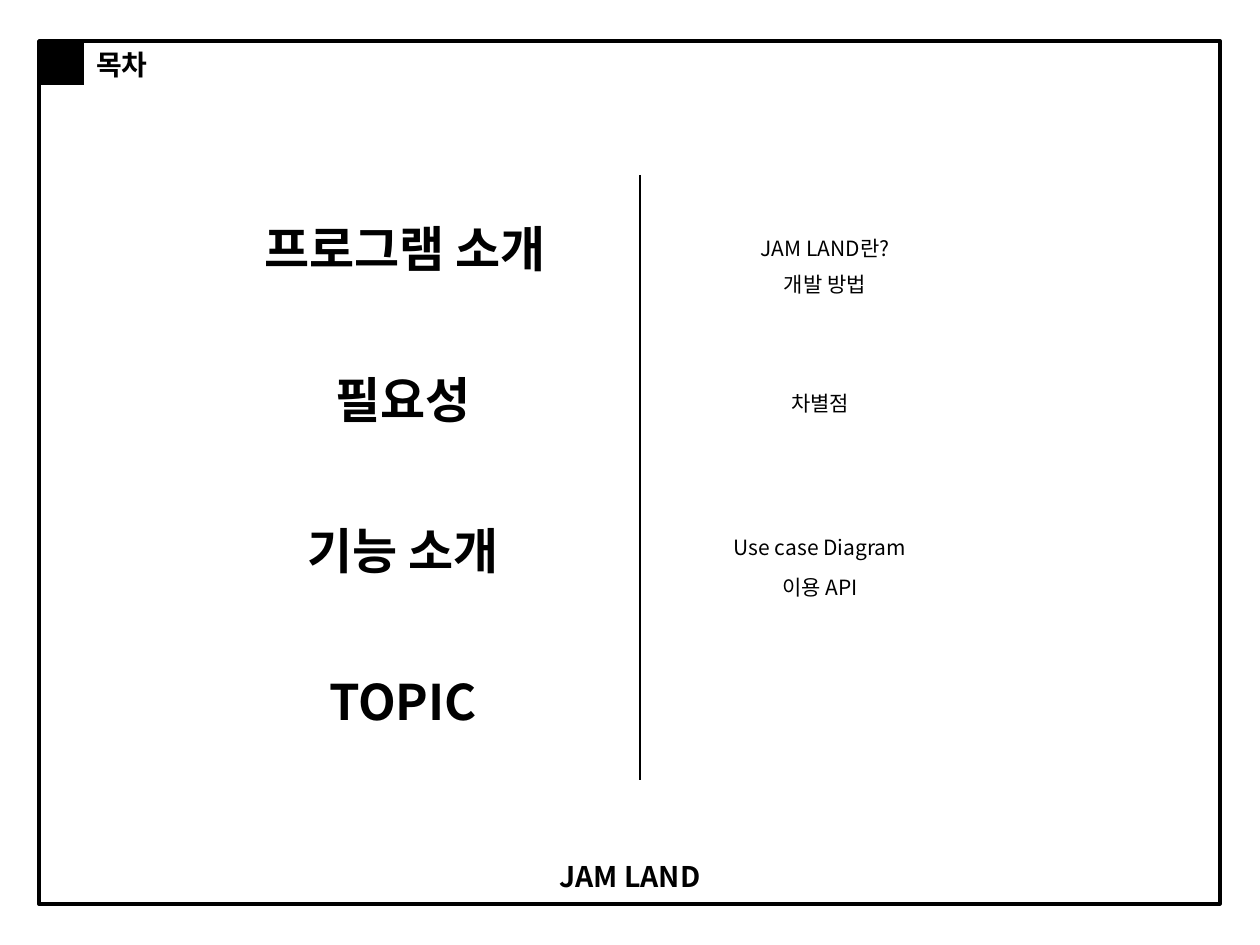
from lxml.etree import SubElement as Sub
from pptx import Presentation
from pptx.dml.color import RGBColor
from pptx.enum.shapes import MSO_CONNECTOR as Conn, MSO_SHAPE as Shape
from pptx.enum.text import MSO_ANCHOR as Anchor, PP_ALIGN as Align
from pptx.oxml.ns import qn
from pptx.util import Emu, Pt

FONT = "Noto Sans CJK KR"
INK = "000000"
PX = 914400 // 126

# Content: topics run down the left at an equal pitch
HEAD = "목차"
FOOT = "JAM LAND"
TOPICS = ["프로그램 소개", "필요성", "기능 소개", "TOPIC"]
TOP, PITCH = 208, 151
# text, centre x, centre y
NOTES = [
    ("JAM LAND란?", 825, 248),
    ("개발 방법", 825, 284),
    ("차별점", 820, 403),
    ("Use case Diagram", 820, 547),
    ("이용 API", 820, 587),
]


def px(n):
    return Emu(n * PX)


def color(code):
    return RGBColor.from_string(code)


def add_text(text, x, y, w, h, size, bold=False):
    box = slide.shapes.add_textbox(px(x), px(y), px(w), px(h))
    frame = box.text_frame
    frame.word_wrap = True
    frame.vertical_anchor = Anchor.MIDDLE
    frame.margin_top = frame.margin_bottom = 0
    para = frame.paragraphs[0]
    para.alignment = Align.CENTER
    run = para.add_run()
    run.text = text
    font = run.font
    font.name, font.size, font.bold = FONT, Pt(size), bold
    font.color.rgb = color(INK)
    Sub(font._element, qn("a:ea"), typeface=FONT)


def add_rect(x, y, w, h):
    rect = slide.shapes.add_shape(Shape.RECTANGLE, px(x), px(y), px(w), px(h))
    rect.shadow.inherit = False
    return rect


deck = Presentation()
deck.slide_width, deck.slide_height = px(1260), px(945)
slide = deck.slides.add_slide(deck.slide_layouts[6])

# Frame and corner block
frame = add_rect(39, 41, 1181, 863)
frame.fill.background()
frame.line.color.rgb = color(INK)
frame.line.width = Pt(2)
block = add_rect(39, 41, 45, 44)
block.fill.solid()
block.fill.fore_color.rgb = color(INK)
block.line.fill.background()

# Heading and footer
add_text(HEAD, 18, 41, 208, 46, 16, True)
add_text(FOOT, 516, 857, 228, 39, 16.2, True)

# Divider
rule = slide.shapes.add_connector(Conn.STRAIGHT, px(640), px(175), px(640), px(780))
rule.line.color.rgb = color(INK)
rule.line.width = Pt(0.75)
Sub(rule._element.spPr, qn("a:effectLst"))

# Topics and their notes
for i, topic in enumerate(TOPICS):
    w, mid = (360, 405) if i == 0 else (298, 403)
    add_text(topic, mid - w // 2, TOP + i * PITCH, w, 80, 28, True)
for note, x, y in NOTES:
    add_text(note, x - 135, y - 40, 270, 80, 12)

deck.save("out.pptx")
